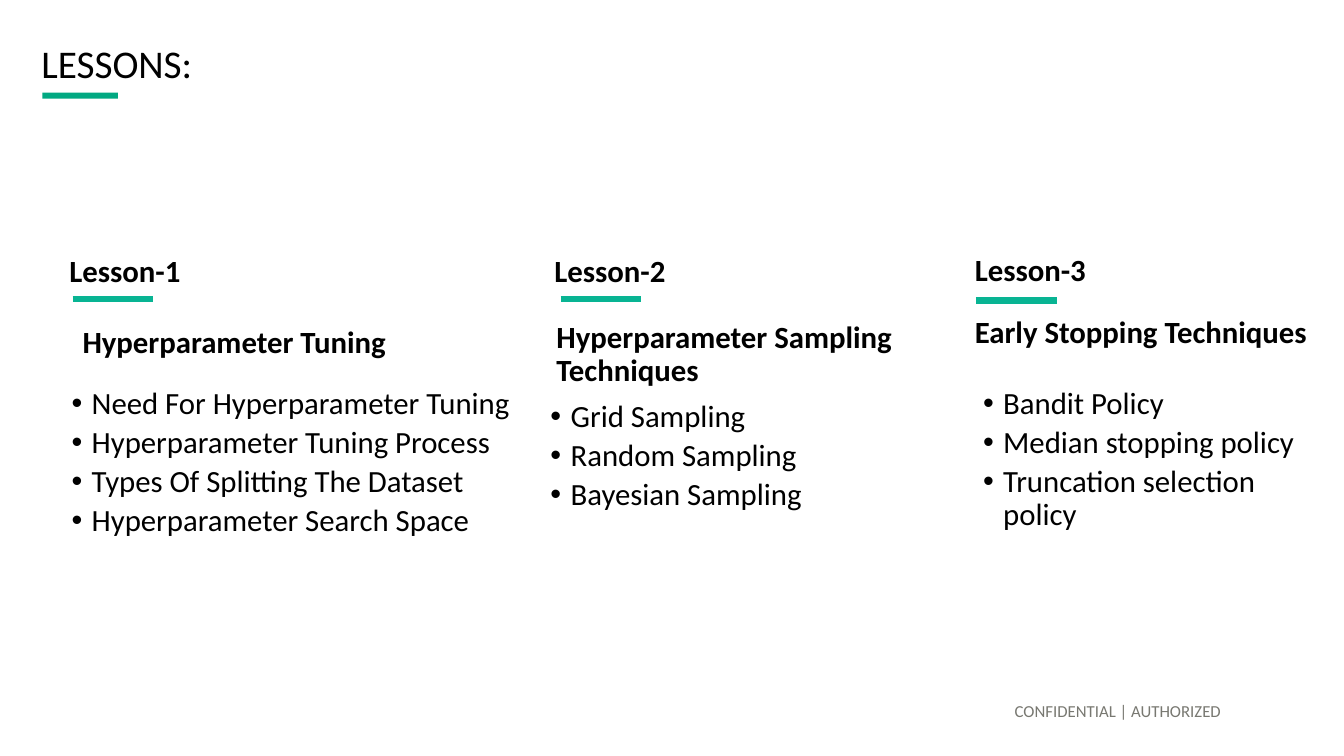
from dataclasses import dataclass

from lxml.etree import SubElement
from pptx import Presentation
from pptx.dml.color import RGBColor
from pptx.enum.shapes import MSO_CONNECTOR, MSO_SHAPE
from pptx.enum.text import MSO_ANCHOR, MSO_AUTO_SIZE, PP_ALIGN
from pptx.oxml.ns import qn
from pptx.slide import Slide
from pptx.text.text import TextFrame
from pptx.util import Inches, Pt

COLORS = {
    "title_bar": "01A982",
    "rule": "08B493",
    "text": "000000",
    "footer": "787871",
    "background": "FFFFFF",
}
FONT = "Calibri"
Box = tuple[float, float, float, float]


@dataclass(frozen=True)
class Lesson:
    label: str
    label_box: Box
    rule_start: tuple[float, float]
    heading: list[str]
    heading_box: Box
    topics: list[str]
    topics_box: Box


LESSONS = [
    Lesson(
        "Lesson-1", (0.59, 2.44, 4.08, 0.42), (0.72, 2.97),
        ["Hyperparameter Tuning"], (0.72, 3.14, 4.08, 0.42),
        [
            "Need For Hyperparameter Tuning",
            "Hyperparameter Tuning Process",
            "Types Of Splitting The Dataset",
            "Hyperparameter Search Space",
        ],
        (0.71, 3.75, 4.69, 2.57),
    ),
    Lesson(
        "Lesson-2", (5.4, 2.44, 4.08, 0.42), (5.56, 2.97),
        ["Hyperparameter Sampling", "Techniques"], (5.42, 3.09, 4.08, 0.42),
        ["Grid Sampling", "Random Sampling", "Bayesian Sampling"],
        (5.46, 3.88, 3.99, 2.51),
    ),
    Lesson(
        "Lesson-3", (9.57, 2.43, 3.7, 0.42), (9.68, 2.98),
        ["Early Stopping Techniques"], (9.57, 3.04, 3.7, 0.42),
        ["Bandit Policy", "Median stopping policy", "Truncation selection policy"],
        (9.75, 3.75, 3.39, 2.37),
    ),
]


def write_text(
    frame: TextFrame,
    lines: list[str],
    *,
    size: float = 22,
    color: str = "text",
    bold: bool = False,
    bullets: bool = False,
    align: PP_ALIGN = PP_ALIGN.LEFT,
    anchor: MSO_ANCHOR = MSO_ANCHOR.TOP,
    inset_x: float = 0.1,
    inset_y: float = 0.1,
) -> None:
    frame.word_wrap = True
    frame.auto_size = MSO_AUTO_SIZE.NONE
    frame.vertical_anchor = anchor
    frame.margin_left = frame.margin_right = Inches(inset_x)
    frame.margin_top = frame.margin_bottom = Inches(inset_y)
    for index, line in enumerate(lines):
        paragraph = frame.add_paragraph() if index else frame.paragraphs[0]
        paragraph.alignment = align
        paragraph.line_spacing = 0.9
        paragraph.space_before = Pt(4 if bullets else 0)
        if bullets:
            properties = paragraph._p.get_or_add_pPr()
            properties.set("marL", str(Inches(0.2)))
            properties.set("indent", str(Inches(-0.2)))
            SubElement(properties, qn("a:buFont"), typeface="Arial")
            SubElement(properties, qn("a:buChar"), char="•")
        run = paragraph.add_run()
        run.text = line
        run.font.name = FONT
        run.font.size = Pt(size)
        run.font.bold = bold
        run.font.color.rgb = RGBColor.from_string(COLORS[color])


def add_text_frame(slide: Slide, box: Box) -> TextFrame:
    return slide.shapes.add_textbox(*map(Inches, box)).text_frame


def add_title_bar(slide: Slide, box: Box) -> None:
    title_bar = slide.shapes.add_shape(MSO_SHAPE.RECTANGLE, *map(Inches, box))
    title_bar.shadow.inherit = False
    title_bar.fill.solid()
    title_bar.fill.fore_color.rgb = RGBColor.from_string(COLORS["title_bar"])
    title_bar.line.fill.background()


def add_rule(slide: Slide, start: tuple[float, float]) -> None:
    left, top = start
    rule = slide.shapes.add_connector(
        MSO_CONNECTOR.STRAIGHT,
        Inches(left), Inches(top), Inches(left + 0.8), Inches(top),
    )
    rule.line.color.rgb = RGBColor.from_string(COLORS["rule"])
    rule.line.width = Pt(4.5)
    SubElement(rule._element.spPr, qn("a:effectLst"))


def add_lesson(slide: Slide, lesson: Lesson) -> None:
    write_text(add_text_frame(slide, lesson.label_box), [lesson.label], bold=True)
    add_rule(slide, lesson.rule_start)
    write_text(add_text_frame(slide, lesson.heading_box), lesson.heading, bold=True)
    write_text(
        add_text_frame(slide, lesson.topics_box), lesson.topics,
        bullets=True, inset_x=0,
    )


def add_title(slide: Slide) -> None:
    title = slide.shapes.title
    title.left, title.top = Inches(0.31), Inches(0.43)
    title.width, title.height = Inches(12.57), Inches(0.44)
    write_text(title.text_frame, ["LESSONS:"], size=28, anchor=MSO_ANCHOR.MIDDLE)


def main() -> None:
    presentation = Presentation()
    presentation.slide_width = Inches(13.33)
    presentation.slide_height = Inches(7.5)
    slide = presentation.slides.add_slide(presentation.slide_layouts[5])
    slide.background.fill.solid()
    slide.background.fill.fore_color.rgb = RGBColor.from_string(COLORS["background"])

    add_title(slide)
    add_title_bar(slide, (0.42, 0.92, 0.75, 0.06))
    for lesson in LESSONS:
        add_lesson(slide, lesson)
    write_text(
        add_text_frame(slide, (4.07, 6.7, 8.14, 0.45)),
        ["CONFIDENTIAL | AUTHORIZED"],
        size=12, color="footer", align=PP_ALIGN.RIGHT,
        anchor=MSO_ANCHOR.BOTTOM, inset_y=0,
    )
    presentation.save("out.pptx")


if __name__ == "__main__":
    main()
